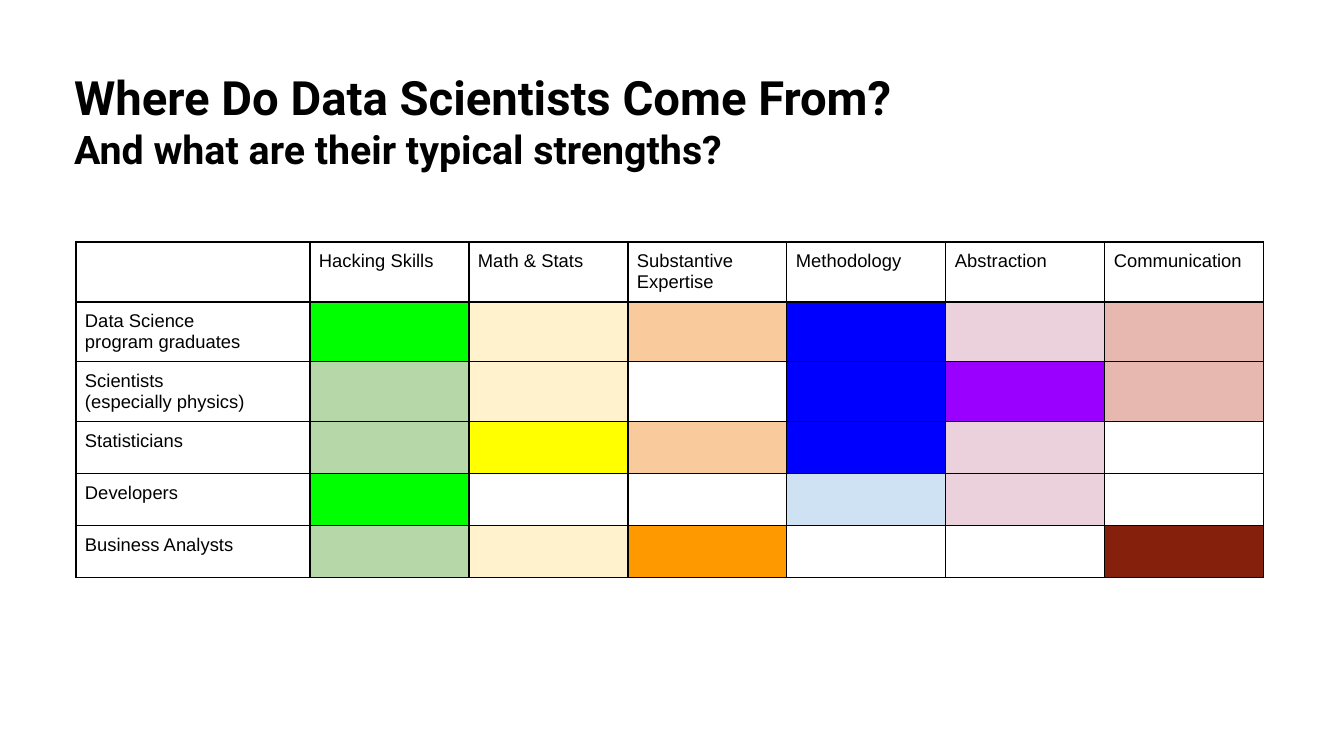
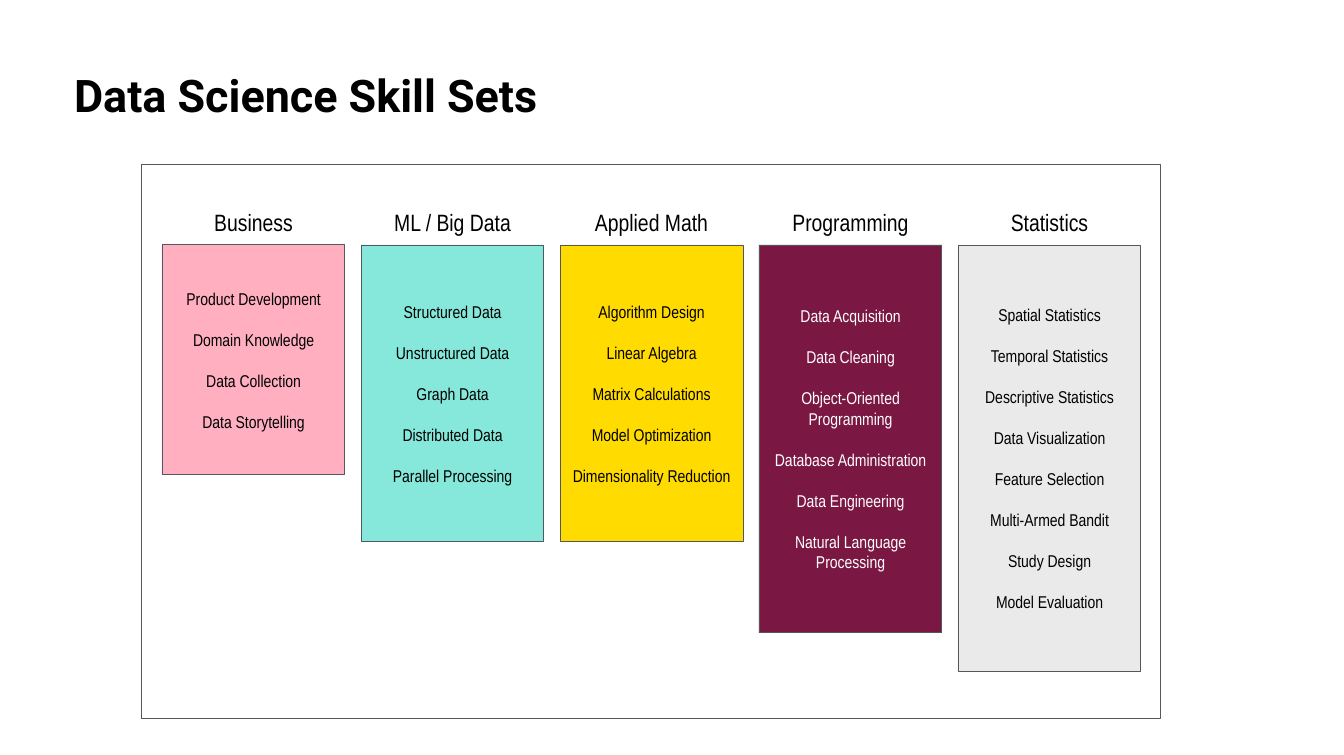
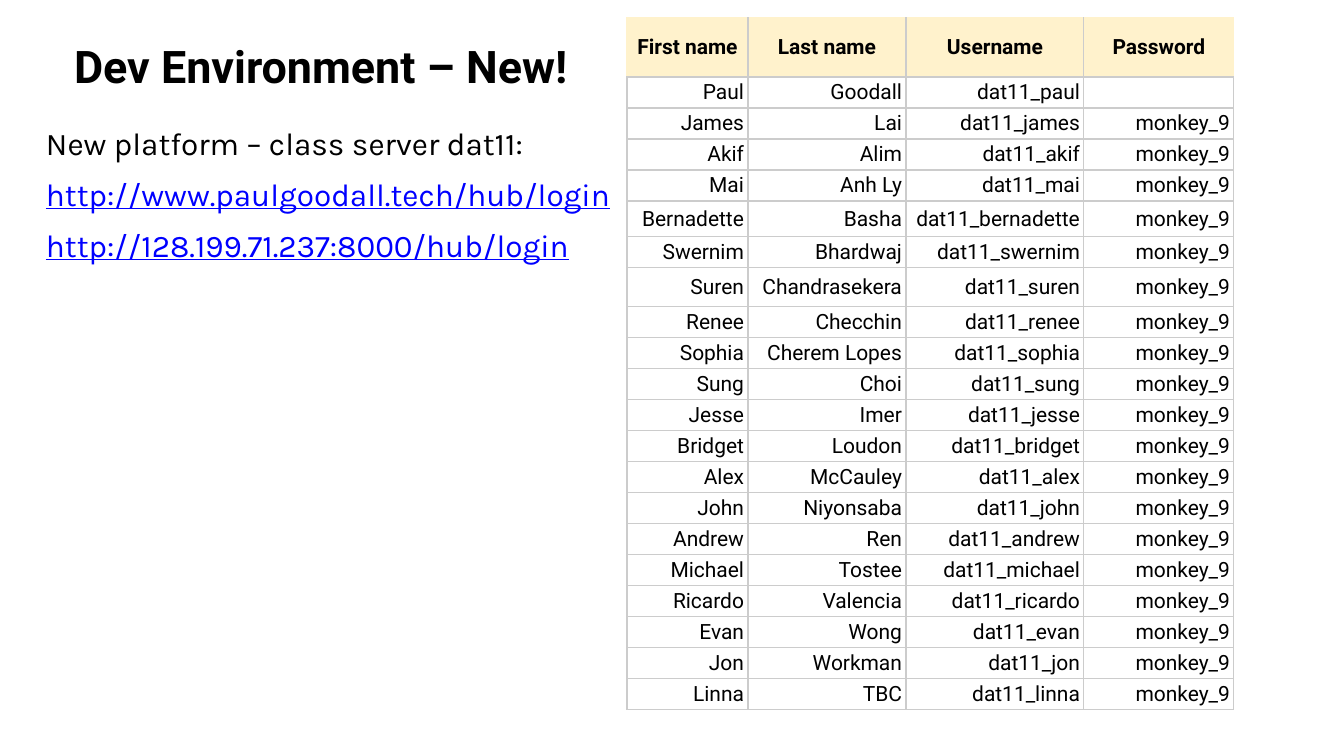
from lxml import etree
from pptx import Presentation
from pptx.dml.color import RGBColor
from pptx.enum.shapes import MSO_SHAPE
from pptx.enum.text import MSO_ANCHOR, MSO_AUTO_SIZE, PP_ALIGN
from pptx.oxml.ns import qn
from pptx.util import Pt

PX = 9676
RECT = MSO_SHAPE.RECTANGLE
TOP, MIDDLE = MSO_ANCHOR.TOP, MSO_ANCHOR.MIDDLE
LEFT, CENTER, RIGHT = PP_ALIGN.LEFT, PP_ALIGN.CENTER, PP_ALIGN.RIGHT
FIXED = MSO_AUTO_SIZE.NONE

BLACK = RGBColor(0x00, 0x00, 0x00)
WHITE = RGBColor(0xFF, 0xFF, 0xFF)
SLATE = RGBColor(0x53, 0x58, 0x5F)
SILVER = RGBColor(0xCC, 0xCC, 0xCC)
LINK = RGBColor(0x00, 0x00, 0xFF)
GREEN = RGBColor(0x00, 0xFF, 0x00)
SAGE = RGBColor(0xB6, 0xD7, 0xA8)
YELLOW = RGBColor(0xFF, 0xFF, 0x00)
CREAM = RGBColor(0xFF, 0xF2, 0xCC)
ORANGE = RGBColor(0xFF, 0x99, 0x00)
PEACH = RGBColor(0xF9, 0xCB, 0x9C)
BLUE = RGBColor(0x00, 0x00, 0xFF)
SKY = RGBColor(0xCF, 0xE2, 0xF3)
PURPLE = RGBColor(0x99, 0x00, 0xFF)
MAUVE = RGBColor(0xEA, 0xD1, 0xDC)
BROWN = RGBColor(0x85, 0x20, 0x0C)
ROSE = RGBColor(0xE6, 0xB8, 0xAF)
PINK = RGBColor(0xFF, 0xAF, 0xC0)
TEAL = RGBColor(0x85, 0xE8, 0xDA)
GOLD = RGBColor(0xFF, 0xDB, 0x00)
WINE = RGBColor(0x7A, 0x17, 0x43)
PALE = RGBColor(0xEA, 0xEA, 0xEA)

HEAD_FONT, GRID_FONT, SKILL_FONT, BODY_FONT = "Roboto", "Arial", "Arial Narrow", "Karla"


def write(frame, text, font, sizes, color=BLACK, align=LEFT, bold=False, gap=0):
    """Fill a frame; sizes holds one size per line, its last one repeating."""
    frame.text = text
    frame.word_wrap = True
    for i, line in enumerate(frame.paragraphs):
        line.alignment = align
        if i and gap:
            line.space_before = Pt(gap)
        for run in line.runs:
            run.font.name = font
            run.font.size = Pt(sizes[min(i, len(sizes) - 1)])
            run.font.bold = bold
            run.font.color.rgb = color


def add_grid(slide, left, top, widths, heights, edge, rim, pad):
    """Add a white ruled table; rim colours the outer edges of its first row."""
    frame = slide.shapes.add_table(len(heights), len(widths), left * PX, top * PX,
                                   sum(widths) * PX, sum(heights) * PX)
    grid = frame.table
    grid.first_row = grid.horz_banding = False
    for col, width in zip(grid.columns, widths):
        col.width = width * PX
    for r, height in enumerate(heights):
        grid.rows[r].height = height * PX
        for c in range(len(widths)):
            cell = grid.cell(r, c)
            cell.margin_left = cell.margin_right = pad[0] * PX
            cell.margin_top = cell.margin_bottom = pad[1] * PX
            props = cell._tc.get_or_add_tcPr()
            outer = {"a:lnL": c == 0, "a:lnR": c == len(widths) - 1,
                     "a:lnT": True, "a:lnB": False}
            for tag, is_rim in outer.items():
                line = etree.SubElement(props, qn(tag), w=str(Pt(1)))
                fill = etree.SubElement(line, qn("a:solidFill"))
                tone = rim if r == 0 and is_rim else edge
                etree.SubElement(fill, qn("a:srgbClr"), val=str(tone))
            cell.fill.solid()
            cell.fill.fore_color.rgb = WHITE
    return grid


deck = Presentation()
deck.slide_width, deck.slide_height = 1344 * PX, 755 * PX

# Slides and titles
TITLES = [
    ("Where Do Data Scientists Come From?\nAnd what are their typical strengths?",
     59, 1213, 144, [36, 30]),
    ("Data Science Skill Sets", 59, 1213, 74, [34.2]),
    ("Dev Environment – New!", 30, 553, 74, [34.2]),
]
slides = []
for text, top, width, height, sizes in TITLES:
    slide = deck.slides.add_slide(deck.slide_layouts[5])
    title = slide.shapes.title
    title.left, title.top = 65 * PX, top * PX
    title.width, title.height = width * PX, height * PX
    frame = title.text_frame
    write(frame, text, HEAD_FONT, sizes, bold=True)
    frame.auto_size = FIXED
    frame.vertical_anchor = TOP
    frame.margin_left = frame.margin_right = 9 * PX
    frame.margin_top = frame.margin_bottom = 9 * PX
    slides.append(slide)
origins, skills, access = slides

# Strengths by origin
FIELDS = ["", "Hacking Skills", "Math & Stats", "Substantive Expertise",
          "Methodology", "Abstraction", "Communication"]
STRENGTHS = [
    ("Data Science\nprogram graduates", GREEN, CREAM, PEACH, BLUE, MAUVE, ROSE),
    ("Scientists\n(especially physics)", SAGE, CREAM, WHITE, BLUE, PURPLE, ROSE),
    ("Statisticians", SAGE, YELLOW, PEACH, BLUE, MAUVE, WHITE),
    ("Developers", GREEN, WHITE, WHITE, SKY, MAUVE, WHITE),
    ("Business Analysts", SAGE, CREAM, ORANGE, WHITE, WHITE, BROWN),
]
grid = add_grid(origins, 76, 242, [234] + [159] * 6, [60] * 3 + [52] * 3,
                BLACK, BLACK, (9, 9))
for c, field in enumerate(FIELDS):
    write(grid.cell(0, c).text_frame, field, GRID_FONT, [14])
for r, (origin, *tones) in enumerate(STRENGTHS, 1):
    write(grid.cell(r, 0).text_frame, origin, GRID_FONT, [14])
    for c, tone in enumerate(tones, 1):
        grid.cell(r, c).fill.fore_color.rgb = tone

# Skill columns
SETS = [
    ("Business", 230, PINK, BLACK,
     ["Product Development", "Domain Knowledge", "Data Collection", "Data Storytelling"]),
    ("ML / Big Data", 297, TEAL, BLACK,
     ["Structured Data", "Unstructured Data", "Graph Data", "Distributed Data",
      "Parallel Processing"]),
    ("Applied Math", 297, GOLD, BLACK,
     ["Algorithm Design", "Linear Algebra", "Matrix Calculations", "Model Optimization",
      "Dimensionality Reduction"]),
    ("Programming", 388, WINE, WHITE,
     ["Data Acquisition", "Data Cleaning", "Object-Oriented Programming",
      "Database Administration", "Data Engineering", "Natural Language Processing"]),
    ("Statistics", 427, PALE, BLACK,
     ["Spatial Statistics", "Temporal Statistics", "Descriptive Statistics",
      "Data Visualization", "Feature Selection", "Multi-Armed Bandit", "Study Design",
      "Model Evaluation"]),
]
panel = skills.shapes.add_shape(RECT, 142 * PX, 165 * PX, 1019 * PX, 554 * PX)
panel.fill.background()
boxes = [panel]
for i, (name, height, tone, ink, items) in enumerate(SETS):
    left = (162 + 199 * i) * PX
    box = skills.shapes.add_shape(RECT, left, 245 * PX, 183 * PX, height * PX)
    box.fill.solid()
    box.fill.fore_color.rgb = tone
    box.text_frame.vertical_anchor = MIDDLE
    write(box.text_frame, "\n".join(items), SKILL_FONT, [13], ink, CENTER, gap=15.6)
    boxes.append(box)
    label = skills.shapes.add_textbox(left, 198 * PX, 183 * PX, 48 * PX)
    label.text_frame.vertical_anchor = MIDDLE
    write(label.text_frame, name, SKILL_FONT, [18], align=CENTER)
for box in boxes:
    box.shadow.inherit = False
    box.line.color.rgb = SLATE
    box.line.width = Pt(0.75)

# Server links
note = access.shapes.add_textbox(46 * PX, 124 * PX, 576 * PX, 150 * PX).text_frame
note.margin_left = note.margin_right = note.margin_top = note.margin_bottom = 0
write(note, "New platform – class server dat11:\n"
      "http://www.paulgoodall.tech/hub/login\n"
      "http://128.199.71.237:8000/hub/login", BODY_FONT, [24], gap=10)
for line in note.paragraphs[1:]:
    font = line.runs[0].font
    font.color.rgb = LINK
    font.underline = True

# Class accounts
PEOPLE = [
    ("Paul", "Goodall"), ("James", "Lai"), ("Akif", "Alim"), ("Mai", "Anh Ly"),
    ("Bernadette", "Basha"), ("Swernim", "Bhardwaj"), ("Suren", "Chandrasekera"),
    ("Renee", "Checchin"), ("Sophia", "Cherem Lopes"), ("Sung", "Choi"),
    ("Jesse", "Imer"), ("Bridget", "Loudon"), ("Alex", "McCauley"),
    ("John", "Niyonsaba"), ("Andrew", "Ren"), ("Michael", "Tostee"),
    ("Ricardo", "Valencia"), ("Evan", "Wong"), ("Jon", "Workman"), ("Linna", "TBC"),
]
rows = [("First name", "Last name", "Username", "Password")]
for first, last in PEOPLE:
    secret = "" if first == "Paul" else "monkey_9"
    rows.append((first, last, "dat11_" + first.lower(), secret))
heights = [59] + [31] * 4 + [36, 31, 39] + [31] * 13
grid = add_grid(access, 627, 18, [121, 158, 178, 150], heights, SILVER, CREAM, (4, 0))
for r, row in enumerate(rows):
    for c, text in enumerate(row):
        cell = grid.cell(r, c)
        cell.vertical_anchor = MIDDLE
        write(cell.text_frame, text, HEAD_FONT, [16],
              align=RIGHT if r else CENTER, bold=r == 0)
        if r == 0:
            cell.fill.fore_color.rgb = CREAM

deck.save("out.pptx")
